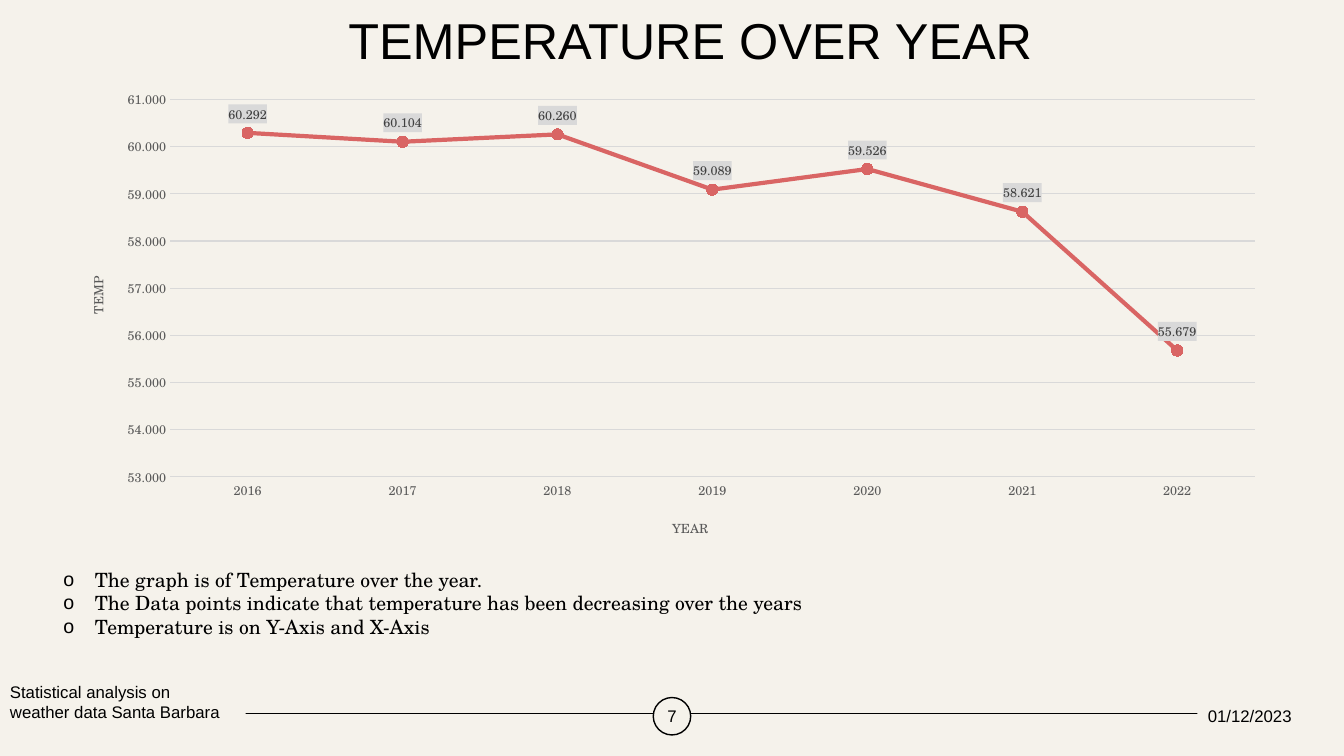
from dataclasses import dataclass

from pptx import Presentation
from pptx import util as u
from pptx.chart import data as chart_data
from pptx.dml.color import RGBColor
from pptx.enum import chart as ch
from pptx.enum import shapes, text
from pptx.oxml import parse_xml
from pptx.oxml import ns

Pt = u.Pt


@dataclass(frozen=True)
class Theme:
    paper: str = "F5F2EB"
    ink: str = "000000"
    accent: str = "D96564"
    grid: str = "D9D9D9"
    axis_ink: str = "595959"
    label_ink: str = "404040"
    sans: str = "Arial"
    serif: str = "TeX Gyre Schola"
    title_size: float = 36
    list_size: float = 14
    footer_size: float = 12
    chart_size: float = 9


@dataclass(frozen=True)
class FooterPart:
    lines: tuple[str, ...]
    left: float
    top: float
    width: float
    height: float
    preset: shapes.MSO_SHAPE = shapes.MSO_SHAPE.RECTANGLE
    align: text.PP_ALIGN = text.PP_ALIGN.CENTER
    side_inset: float = 0
    outlined: bool = False


THEME = Theme()


def rgb(value: str) -> RGBColor:
    return RGBColor.from_string(value)


def style_font(font, name: str, size: float, color: str) -> None:
    font.name, font.size, font.bold = name, Pt(size), False
    font.color.rgb = rgb(color)


def add_run(paragraph, words: str, name: str, size: float, color: str = THEME.ink) -> None:
    run = paragraph.add_run()
    run.text = words
    style_font(run.font, name, size, color)


def place(shape, left: float, top: float, width: float, height: float) -> None:
    shape.left, shape.top = Pt(left), Pt(top)
    shape.width, shape.height = Pt(width), Pt(height)


def paragraphs(frame, count: int) -> list:
    return [frame.paragraphs[0]] + [frame.add_paragraph() for _ in range(count - 1)]


def add_bullet(paragraph, indent: float) -> None:
    props = paragraph._p.get_or_add_pPr()
    props.set("marL", str(Pt(indent)))
    props.set("indent", str(-Pt(indent)))
    for tag, attribute, value in (("buFont", "typeface", THEME.sans), ("buChar", "char", "o")):
        props.append(parse_xml(f'<a:{tag} {ns.nsdecls("a")} {attribute}="{value}"/>'))


def set_layout(parent, index: int, inner: bool = False, **fractions: float) -> None:
    """Place a chart part by fractions of the chart area."""
    for old in parent.findall(ns.qn("c:layout")):
        parent.remove(old)
    target = '<c:layoutTarget val="inner"/>' if inner else ""
    modes = "".join(f'<c:{axis}Mode val="edge"/>' for axis in "xy")
    values = "".join(f'<c:{key} val="{value}"/>' for key, value in fractions.items())
    parent.insert(index, parse_xml(
        f'<c:layout {ns.nsdecls("c")}><c:manualLayout>{target}{modes}{values}'
        '</c:manualLayout></c:layout>'))


def style_axis(axis, title: str, x: float, y: float) -> None:
    style_font(axis.tick_labels.font, THEME.serif, THEME.chart_size, THEME.axis_ink)
    axis.major_tick_mark = axis.minor_tick_mark = ch.XL_TICK_MARK.NONE
    add_run(axis.axis_title.text_frame.paragraphs[0], title,
            THEME.serif, THEME.chart_size, THEME.axis_ink)
    set_layout(axis.axis_title._element, 1, x=x, y=y)


def add_footer_part(slide, part: FooterPart) -> None:
    shape = slide.shapes.add_shape(part.preset, Pt(part.left), Pt(part.top),
                                   Pt(part.width), Pt(part.height))
    shape.shadow.inherit = False
    shape.fill.solid()
    shape.fill.fore_color.rgb = rgb(THEME.paper)
    if part.outlined:
        shape.line.color.rgb = rgb(THEME.ink)
        shape.line.width = Pt(1)
    else:
        shape.line.fill.background()
    frame = shape.text_frame
    frame.vertical_anchor = text.MSO_ANCHOR.MIDDLE
    frame.margin_left = frame.margin_right = Pt(part.side_inset)
    frame.margin_top = frame.margin_bottom = 0
    for paragraph, words in zip(paragraphs(frame, len(part.lines)), part.lines):
        paragraph.alignment = part.align
        add_run(paragraph, words, THEME.sans, THEME.footer_size)


def add_temperature_chart(slide, readings: dict[str, float]) -> None:
    data = chart_data.CategoryChartData(number_format="0.000")
    data.categories = list(readings)
    data.add_series("Series 1", list(readings.values()))
    chart = slide.shapes.add_chart(ch.XL_CHART_TYPE.LINE_MARKERS_STACKED, Pt(43.2), Pt(57.6),
                                   Pt(870.5), Pt(337), data).chart
    chart.has_legend = chart.has_title = False
    style_font(chart.font, THEME.serif, 10, THEME.ink)

    # Axes
    years, degrees = chart.category_axis, chart.value_axis
    style_axis(years, "YEAR", x=0.5, y=0.92)
    style_axis(degrees, "TEMP", x=0.02, y=0.41)
    degrees.minimum_scale, degrees.maximum_scale, degrees.major_unit = 53, 61, 1
    degrees.tick_labels.number_format = "0.000"
    degrees.tick_labels.number_format_is_linked = False
    degrees.format.line.fill.background()
    for line in (years.format.line, degrees.major_gridlines.format.line):
        line.color.rgb = rgb(THEME.grid)
        line.width = Pt(0.75)
    set_layout(chart._chartSpace.chart.plotArea, 0, inner=True, x=0.09, y=0.04, w=0.89, h=0.8)

    # Line and markers
    plot = chart.plots[0]
    plot.vary_by_categories = False
    series = plot.series[0]
    series.smooth = False
    series.format.line.color.rgb = rgb(THEME.accent)
    series.format.line.width = Pt(3)
    series.marker.style, series.marker.size = ch.XL_MARKER_STYLE.CIRCLE, 8
    series.marker.format.fill.solid()
    series.marker.format.fill.fore_color.rgb = rgb(THEME.accent)
    series.marker.format.line.color.rgb = rgb(THEME.accent)

    # Value labels on grey tags
    labels = series.data_labels
    labels.show_value = True
    labels.position = ch.XL_LABEL_POSITION.ABOVE
    labels.number_format, labels.number_format_is_linked = "0.000", False
    style_font(labels.font, THEME.serif, THEME.chart_size, THEME.label_ink)
    labels._element.find(ns.qn("c:txPr")).addprevious(parse_xml(
        f'<c:spPr {ns.nsdecls("c", "a")}><a:solidFill><a:srgbClr val="{THEME.grid}"/>'
        '</a:solidFill></c:spPr>'))


deck = Presentation()
deck.slide_width, deck.slide_height = Pt(960), Pt(540)
slide = deck.slides.add_slide(deck.slide_layouts[1])
slide.background.fill.solid()
slide.background.fill.fore_color.rgb = rgb(THEME.paper)

# Title
heading = slide.shapes.title
place(heading, 199.5, 8, 587.5, 46)
heading.text_frame.auto_size = text.MSO_AUTO_SIZE.NONE
heading.text_frame.vertical_anchor = text.MSO_ANCHOR.MIDDLE
heading_line = heading.text_frame.paragraphs[0]
heading_line.alignment = text.PP_ALIGN.CENTER
heading_line.line_spacing = 0.9
add_run(heading_line, "TEMPERATURE OVER YEAR", THEME.sans, THEME.title_size)

# Chart
add_temperature_chart(slide, {"2016": 60.292, "2017": 60.104, "2018": 60.26, "2019": 59.089,
                              "2020": 59.526, "2021": 58.621, "2022": 55.679})

# Findings
FINDINGS = (
    "The graph is of Temperature over the year.",
    "The Data points indicate that temperature has been decreasing over the years",
    "Temperature is on Y-Axis and X-Axis",
)
findings = slide.placeholders[1]
place(findings, 38, 402, 865.5, 58)
findings.text_frame.auto_size = text.MSO_AUTO_SIZE.NONE
for paragraph, words in zip(paragraphs(findings.text_frame, len(FINDINGS)), FINDINGS):
    paragraph.space_before = Pt(0)
    add_bullet(paragraph, 22.5)
    add_run(paragraph, words, THEME.serif, THEME.list_size)

# Footer: rule, then the parts that sit on it
rule = slide.shapes.add_connector(shapes.MSO_CONNECTOR.STRAIGHT,
                                  Pt(44.5), Pt(509.75), Pt(912), Pt(509.75))
rule.line.color.rgb = rgb(THEME.ink)
rule.line.width = Pt(1)
rule._element.spPr.append(parse_xml(f'<a:effectLst {ns.nsdecls("a")}/>'))

FOOTER = (
    FooterPart(("01/12/2023",), 855.25, 498.25, 75, 26.75),
    FooterPart(("Statistical analysis on", "weather data Santa Barbara"), 0, 487.5, 175.5, 28,
               align=text.PP_ALIGN.LEFT, side_inset=7.2),
    FooterPart(("7",), 466.65, 498.25, 26.75, 26.75,
               preset=shapes.MSO_SHAPE.OVAL, outlined=True),
)
for part in FOOTER:
    add_footer_part(slide, part)

deck.save("out.pptx")
